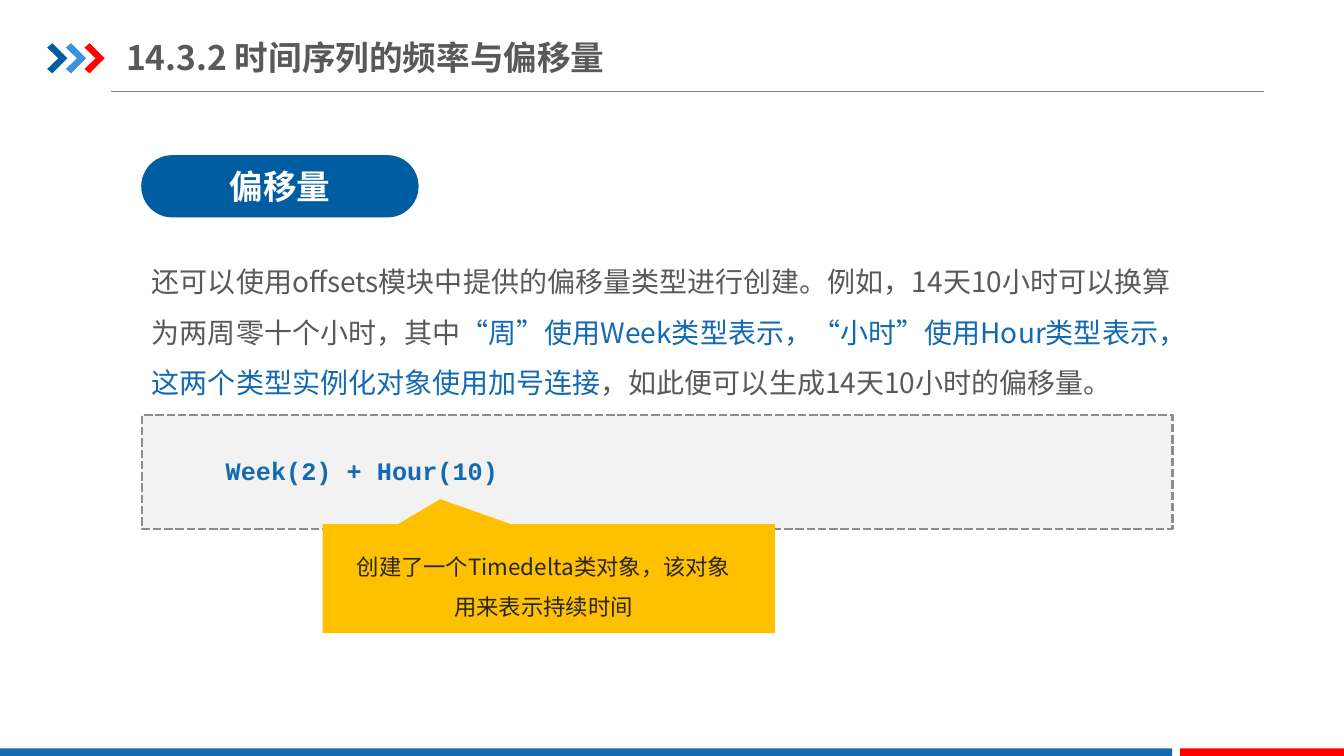
import dataclasses
import typing

import lxml.etree
import pptx
import pptx.dml.color
import pptx.enum.dml
import pptx.enum.shapes
import pptx.enum.text
import pptx.oxml.ns
import pptx.shapes.autoshape
import pptx.slide
import pptx.util

Cm = pptx.util.Cm
Kind = pptx.enum.shapes.MSO_SHAPE
Align = pptx.enum.text.PP_ALIGN
Anchor = pptx.enum.text.MSO_ANCHOR


@dataclasses.dataclass(frozen=True)
class Theme:
    navy: str = "005DA2"
    sky: str = "3992DB"
    red: str = "FF0000"
    blue: str = "1369B2"
    amber: str = "FFC000"
    panel: str = "F2F2F2"
    rule: str = "808080"
    dash: str = "8D8D8D"
    text: str = "595959"
    dark: str = "262626"
    white: str = "FFFFFF"
    heading_size: int = 24
    body_size: int = 20
    code_size: int = 18
    note_size: int = 16
    sans: str = "Noto Sans CJK SC"
    mono: str = "Courier New"


THEME = Theme()


class Frame(typing.NamedTuple):
    left: float
    top: float
    width: float
    height: float

    def lengths(self) -> list[pptx.util.Length]:
        return [Cm(value) for value in self]


class Span(typing.NamedTuple):
    text: str
    color: str


class Block(typing.NamedTuple):
    frame: Frame
    fill: str
    kind: Kind = Kind.RECTANGLE
    adjustments: tuple[float, ...] = ()
    dash: str | None = None


CHEVRON_COLORS = (THEME.navy, THEME.sky, THEME.red)
CHEVRON_POINTS = ((0, 0.11), (0.13, 0), (0.51, 0.38), (0.13, 0.76), (0, 0.65), (0.28, 0.38))
CHEVRON_LEFT, CHEVRON_TOP, CHEVRON_PITCH = 1.19, 1.09, 0.47

FOOTER_BARS = (
    Block(Frame(0, 18.86, 29.54, 0.22), THEME.blue),
    Block(Frame(29.74, 18.86, 4.13, 0.22), THEME.red),
)
PILL = Block(Frame(3.56, 3.91, 6.99, 1.57), THEME.navy, Kind.ROUNDED_RECTANGLE, (0.5,))
CODE_PANEL = Block(Frame(3.58, 10.46, 25.96, 2.87), THEME.panel, dash=THEME.dash)
CALLOUT = Block(Frame(8.13, 13.21, 11.4, 2.74), THEME.amber, Kind.RECTANGULAR_CALLOUT, (-0.24, -0.73))


def rgb(color: str) -> pptx.dml.color.RGBColor:
    return pptx.dml.color.RGBColor.from_string(color)


def paint(shape: pptx.shapes.autoshape.Shape, color: str) -> None:
    shape.shadow.inherit = False
    shape.fill.solid()
    shape.fill.fore_color.rgb = rgb(color)
    shape.line.fill.background()


def add_block(page: pptx.slide.Slide, block: Block) -> pptx.shapes.autoshape.Shape:
    shape = page.shapes.add_shape(block.kind, *block.frame.lengths())
    for index, value in enumerate(block.adjustments):
        shape.adjustments[index] = value
    paint(shape, block.fill)
    if block.dash:
        shape.line.color.rgb = rgb(block.dash)
        shape.line.width = pptx.util.Pt(2)
        shape.line.dash_style = pptx.enum.dml.MSO_LINE.SQUARE_DOT
    return shape


def write(
    box: pptx.shapes.autoshape.Shape,
    *spans: Span,
    size: int,
    font: str = THEME.sans,
    bold: bool = False,
    align: Align = Align.LEFT,
    anchor: Anchor = Anchor.TOP,
    spacing: float = 1.0,
    indent: float = 0,
    side_margin: float = 0.25,
    end_margin: float = 0.13,
) -> None:
    frame = box.text_frame
    frame.word_wrap = True
    frame.vertical_anchor = anchor
    frame.margin_left = frame.margin_right = Cm(side_margin)
    frame.margin_top = frame.margin_bottom = Cm(end_margin)
    para = frame.paragraphs[0]
    para.alignment = align
    para.line_spacing = spacing
    para._p.get_or_add_pPr().set("indent", str(Cm(indent)))
    for span in spans:
        run = para.add_run()
        run.text = span.text
        run.font.size = pptx.util.Pt(size)
        run.font.bold = bold
        run.font.color.rgb = rgb(span.color)
        run.font.name = font
        east_asian = lxml.etree.SubElement(run._r.get_or_add_rPr(), pptx.oxml.ns.qn("a:ea"))
        east_asian.set("typeface", font)


def add_text(page: pptx.slide.Slide, frame: Frame, *spans: Span, **options: typing.Any) -> None:
    write(page.shapes.add_textbox(*frame.lengths()), *spans, **options)


def add_header_rule(page: pptx.slide.Slide) -> None:
    rule = page.shapes.add_connector(
        pptx.enum.shapes.MSO_CONNECTOR.STRAIGHT, Cm(2.79), Cm(2.31), Cm(31.86), Cm(2.31)
    )
    rule.line.color.rgb = rgb(THEME.rule)
    rule.line.width = pptx.util.Pt(0.75)
    lxml.etree.SubElement(rule._element.spPr, pptx.oxml.ns.qn("a:effectLst"))


def add_chevrons(page: pptx.slide.Slide) -> None:
    for index, color in enumerate(CHEVRON_COLORS):
        left = CHEVRON_LEFT + index * CHEVRON_PITCH
        points = [(Cm(left + x), Cm(CHEVRON_TOP + y)) for x, y in CHEVRON_POINTS]
        builder = page.shapes.build_freeform(*points[0])
        builder.add_line_segments(points[1:], close=True)
        paint(builder.convert_to_shape(), color)


def main() -> None:
    deck = pptx.Presentation()
    deck.slide_width, deck.slide_height = Cm(33.87), Cm(19.05)
    page = deck.slides.add_slide(deck.slide_layouts[6])

    add_header_rule(page)
    add_chevrons(page)
    for bar in FOOTER_BARS:
        add_block(page, bar)
    add_text(
        page, Frame(3.18, 0.74, 12.55, 1.4), Span("14.3.2 时间序列的频率与偏移量", THEME.text),
        size=THEME.heading_size, bold=True, anchor=Anchor.MIDDLE, side_margin=0, end_margin=0.18,
    )
    write(
        add_block(page, PILL), Span("偏移量", THEME.white),
        size=THEME.heading_size, bold=True, align=Align.CENTER, anchor=Anchor.MIDDLE,
    )
    add_block(page, CODE_PANEL)
    add_text(
        page, Frame(4.7, 11.35, 24.31, 1.02), Span("Week(2) + Hour(10)", THEME.blue),
        size=THEME.code_size, font=THEME.mono, bold=True, indent=0.74,
    )
    add_text(
        page, Frame(3.58, 6.12, 26.54, 4.11),
        Span("还可以使用offsets模块中提供的偏移量类型进行创建。例如，14天10小时可以换算为两周零十个小时，其中", THEME.text),
        Span("“周”使用Week类型表示，“小时”使用Hour类型表示，这两个类型实例化对象使用加号连接", THEME.blue),
        Span("，如此便可以生成14天10小时的偏移量。", THEME.text),
        size=THEME.body_size, spacing=1.5,
    )
    add_block(page, CALLOUT)
    add_text(
        page, Frame(8.53, 13.46, 10.34, 2.18),
        Span("创建了一个Timedelta类对象，该对象用来表示持续时间", THEME.dark),
        size=THEME.note_size, align=Align.CENTER, spacing=1.5,
    )
    deck.save("out.pptx")


if __name__ == "__main__":
    main()
